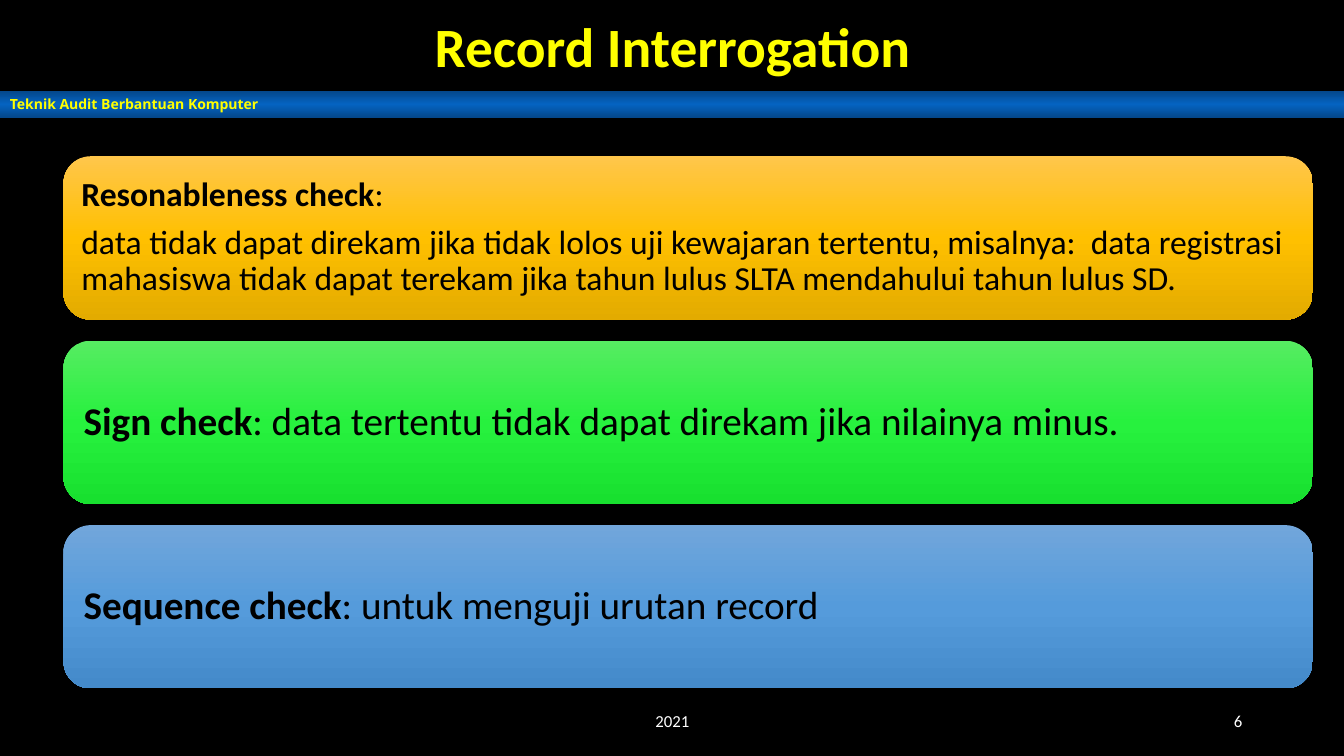
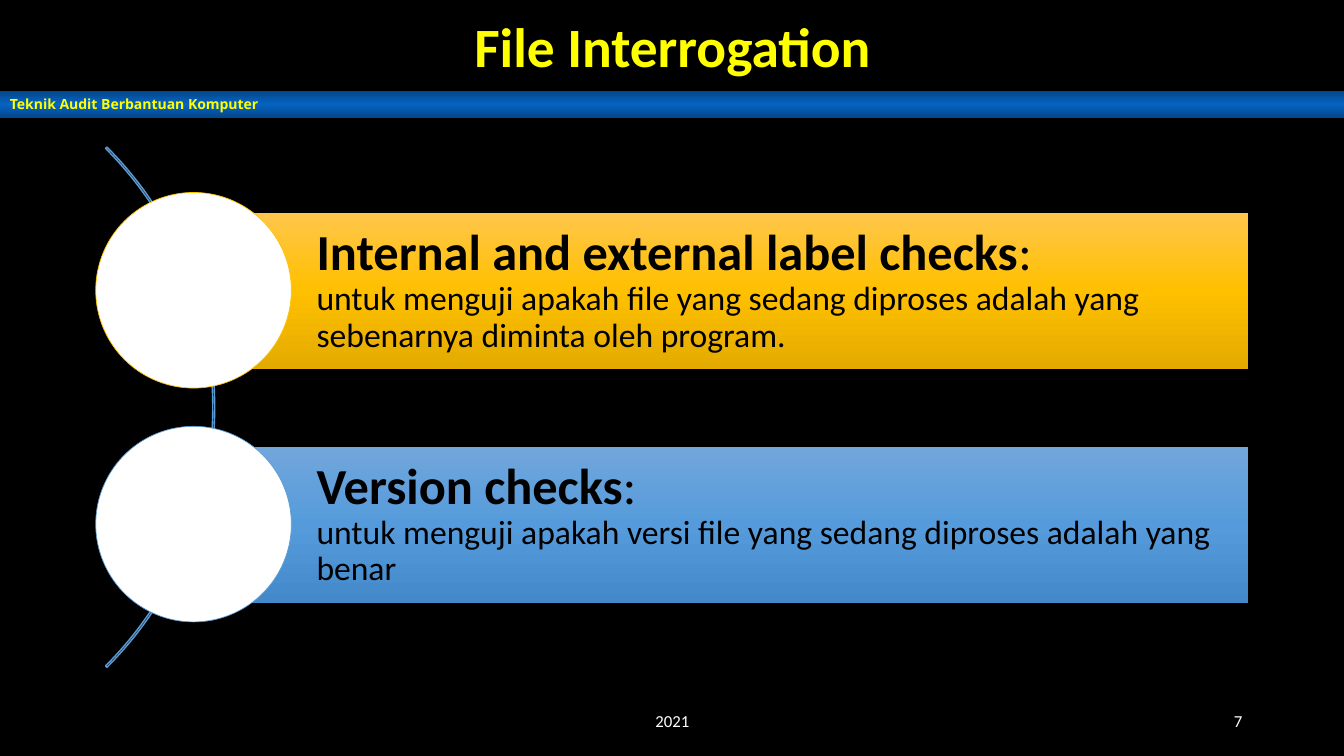
import copy

import pptx
import pptx.util
import pptx.dml.color
import pptx.enum.shapes
import pptx.enum.text
import pptx.oxml.ns

Inches = pptx.util.Inches
Pt = pptx.util.Pt
MSO_SHAPE = pptx.enum.shapes.MSO_SHAPE
PP_ALIGN = pptx.enum.text.PP_ALIGN
MSO_ANCHOR = pptx.enum.text.MSO_ANCHOR

COLORS = {
    "black": "000000",
    "white": "FFFFFF",
    "yellow": "FFFF00",
    "amber": "FFC000",
    "blue": "5B9BD5",
}
GRADIENTS = {
    "band": ("04478A", "0563C1", "04478A"),
    "amber": ("FFC64B", "FFC000", "E3AB00"),
    "green": ("56EC62", "27F13E", "18E02F"),
    "blue": ("71A6DB", "559BDB", "448ACA"),
}


def rgb(value):
    return pptx.dml.color.RGBColor.from_string(value)


class Deck:
    font = "Calibri"
    width, height = 13.33, 7.5

    def __init__(self):
        self.prs = pptx.Presentation()
        self.prs.slide_width = Inches(self.width)
        self.prs.slide_height = Inches(self.height)
        fill = self.prs.slide_master.background.fill
        fill.solid()
        fill.fore_color.rgb = rgb(COLORS["black"])
        self.s = None

    def new_slide(self, title, number):
        self.s = self.prs.slides.add_slide(self.prs.slide_layouts[5])
        self.title(title)
        self.band("Teknik Audit Berbantuan Komputer")
        self.footer("2021", 4.42, 4.5, PP_ALIGN.CENTER)
        self.footer(str(number), 9.42, 3, PP_ALIGN.RIGHT)

    def style(self, p, size, color="black", bold=False, font=None):
        for r in p.runs:
            r.font.name = font or self.font
            r.font.size = Pt(size)
            r.font.bold = bold
            r.font.color.rgb = rgb(COLORS[color])

    def title(self, text):
        sp = self.s.shapes.title
        sp.left, sp.top = Inches(0.92), Inches(0.15)
        sp.width, sp.height = Inches(11.5), Inches(0.68)
        tf = sp.text_frame
        tf.text = text
        tf.auto_size = pptx.enum.text.MSO_AUTO_SIZE.NONE
        tf.vertical_anchor = MSO_ANCHOR.MIDDLE
        p = tf.paragraphs[0]
        p.alignment = PP_ALIGN.CENTER
        p.line_spacing = 0.9
        self.style(p, 39.6, "yellow", True)

    def band(self, text):
        sp = self.shape(MSO_SHAPE.RECTANGLE, 0, 0.9, self.width, 0.27)
        self.gradient(sp, "band")
        tf = sp.text_frame
        tf.text = text
        tf.vertical_anchor = MSO_ANCHOR.MIDDLE
        p = tf.paragraphs[0]
        p.alignment = PP_ALIGN.LEFT
        self.style(p, 10, "yellow", True, "Open Sans")

    def footer(self, text, left, width, align):
        sp = self.s.shapes.add_textbox(
            Inches(left), Inches(6.95), Inches(width), Inches(0.4))
        tf = sp.text_frame
        tf.word_wrap = True
        tf.text = text
        tf.vertical_anchor = MSO_ANCHOR.MIDDLE
        p = tf.paragraphs[0]
        p.alignment = align
        self.style(p, 12, "white")

    def shape(self, kind, left, top, width, height, line=None, line_width=1):
        sp = self.s.shapes.add_shape(
            kind, Inches(left), Inches(top), Inches(width), Inches(height))
        sp.shadow.inherit = False
        sp.fill.background()
        if line:
            sp.line.color.rgb = rgb(COLORS[line])
            sp.line.width = Pt(line_width)
        else:
            sp.line.fill.background()
        return sp

    def gradient(self, sp, name):
        sp.fill.gradient()
        sp.fill.gradient_angle = 270
        stops = sp._element.spPr.find(".//" + pptx.oxml.ns.qn("a:gsLst"))
        stops.append(copy.deepcopy(stops[-1]))
        for i, (stop, value) in enumerate(
                zip(sp.fill.gradient_stops, GRADIENTS[name])):
            stop.position = i / 2
            stop.color.rgb = rgb(value)

    def panel(self, kind, box, gradient, paragraphs, inset=0.1, left_inset=None):
        sp = self.shape(kind, *box)
        self.gradient(sp, gradient)
        tf = sp.text_frame
        tf.word_wrap = True
        tf.vertical_anchor = MSO_ANCHOR.MIDDLE
        tf.margin_left = Inches(left_inset or inset)
        tf.margin_right = tf.margin_top = tf.margin_bottom = Inches(inset)
        for i, (label, text, size, after) in enumerate(paragraphs):
            p = tf.add_paragraph() if i else tf.paragraphs[0]
            p.alignment = PP_ALIGN.LEFT
            p.line_spacing = 0.9
            p.space_after = Pt(after)
            p.text = label
            self.style(p, size, bold=True)
            r = p.add_run()
            r.text = text
            r.font.name = self.font
            r.font.size = Pt(size)
            r.font.bold = False
            r.font.color.rgb = rgb(COLORS["black"])

    def arc(self, center_x, center_y, diameter, thickness):
        sp = self.shape(
            MSO_SHAPE.BLOCK_ARC, center_x - diameter / 2,
            center_y - diameter / 2, diameter, diameter, "blue")
        sp.adjustments[0] = 189
        sp.adjustments[1] = 27
        sp.adjustments[2] = thickness / diameter

    def circle(self, left, top, diameter, line):
        sp = self.shape(
            MSO_SHAPE.OVAL, left, top, diameter, diameter, line, 0.5)
        sp.fill.solid()
        sp.fill.fore_color.rgb = rgb(COLORS["white"])


def record_slide(deck):
    deck.new_slide("Record Interrogation", 6)
    cards = [
        ("amber", 0.1, [
            ("Resonableness check", ":", 24, 8.4),
            ("", "data tidak dapat direkam jika tidak lolos uji kewajaran "
                 "tertentu, misalnya:  data registrasi mahasiswa tidak dapat "
                 "terekam jika tahun lulus SLTA mendahului tahun lulus SD.",
             24, 8.4)]),
        ("green", 0.12, [
            ("Sign check",
             ": data tertentu tidak dapat direkam jika nilainya minus.",
             28, 9.8)]),
        ("blue", 0.12, [
            ("Sequence check", ": untuk menguji urutan record", 28, 9.8)]),
    ]
    for i, (color, inset, paragraphs) in enumerate(cards):
        box = (0.63, 1.55 + i * 1.83, 12.39, 1.62)
        deck.panel(MSO_SHAPE.ROUNDED_RECTANGLE, box, color, paragraphs, inset)


def file_slide(deck):
    deck.new_slide("File Interrogation", 7)
    deck.arc(-1.52, 4.04, 7.3, 0.02)
    checks = [
        ("amber", "Internal and external label checks",
         "untuk menguji apakah file yang sedang diproses adalah yang "
         "sebenarnya diminta oleh program."),
        ("blue", "Version checks",
         "untuk menguji apakah versi file yang sedang diproses adalah yang "
         "benar"),
    ]
    for i, (color, label, text) in enumerate(checks):
        top = 2.11 + i * 2.32
        paragraphs = [(label, ":", 36, 0), ("", text, 24, 8.4)]
        deck.panel(MSO_SHAPE.RECTANGLE, (1.91, top, 10.47, 1.55), color,
                   paragraphs, left_inset=1.23)
        deck.circle(0.95, top - 0.2, 1.94, color)


def main():
    deck = Deck()
    record_slide(deck)
    file_slide(deck)
    deck.prs.save("out.pptx")


if __name__ == "__main__":
    main()
